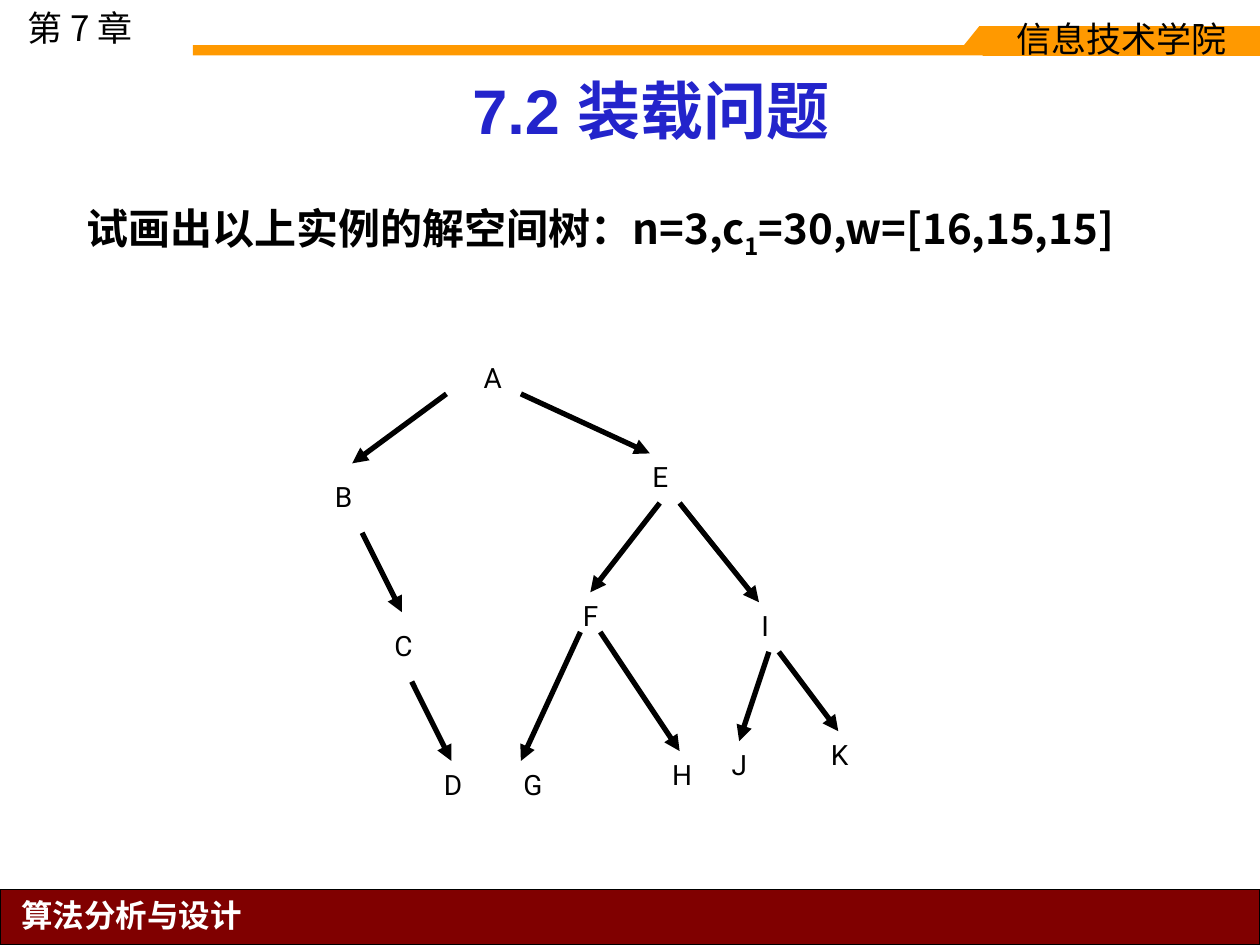
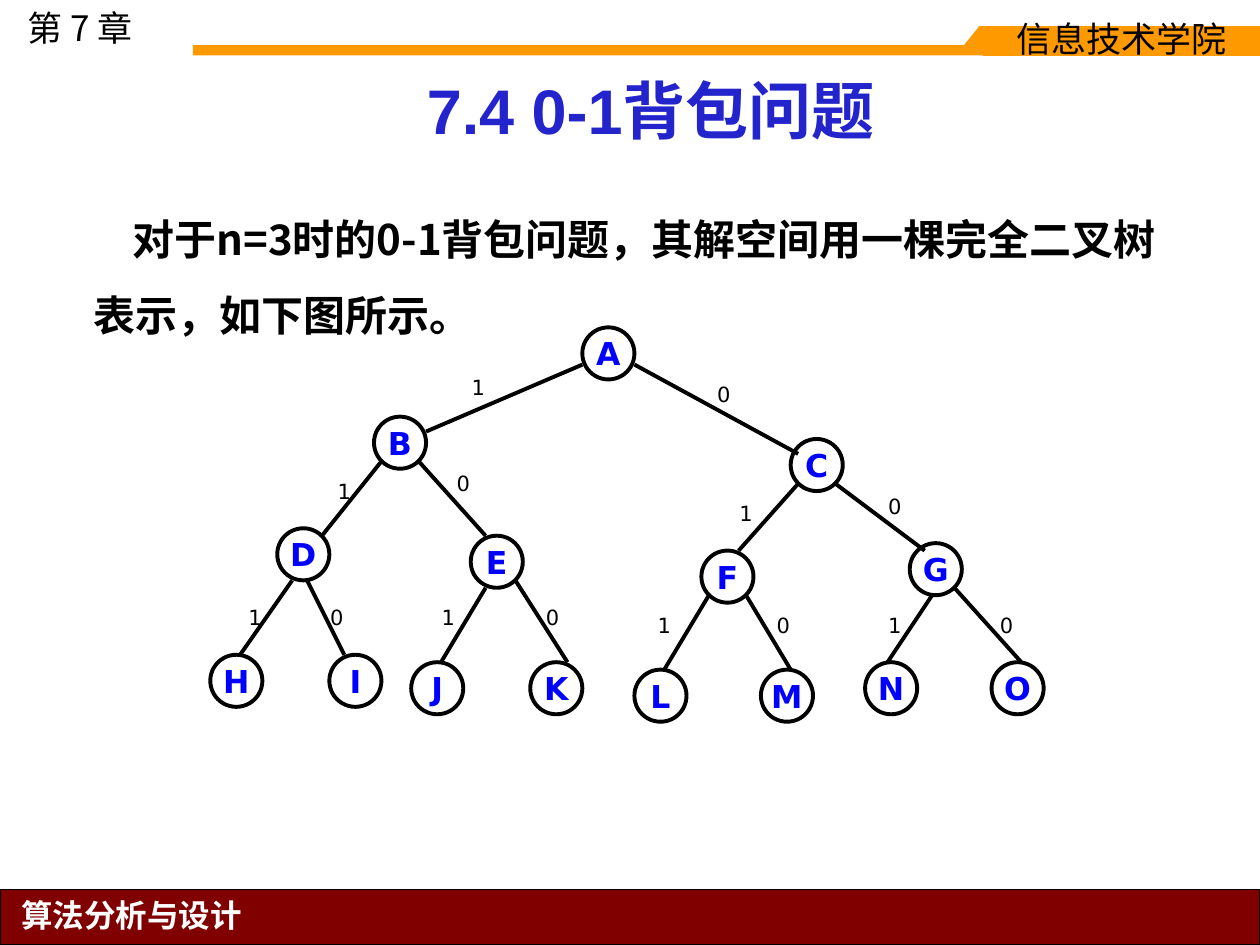
from dataclasses import dataclass

from lxml.etree import SubElement
from pptx import Presentation
from pptx.dml.color import RGBColor as Rgb
from pptx.enum.shapes import MSO_CONNECTOR as Link, MSO_SHAPE as Kind
from pptx.enum.text import MSO_ANCHOR as Anchor, PP_ALIGN as Align
from pptx.oxml.ns import qn
from pptx.util import Cm, Pt


@dataclass(frozen=True)
class Theme:
    black: str = "000000"
    white: str = "FFFFFF"
    orange: str = "FF9900"
    maroon: str = "800000"
    title: str = "2324CB"
    node: str = "0000FF"
    cjk: str = "Noto Sans CJK SC"
    head: str = "Arial"
    sans: str = "DejaVu Sans"
    leaf: str = "Roboto"
    big: int = 36
    body: int = 24
    top: int = 20
    foot: int = 18
    letter: int = 16
    bit: int = 12


T = Theme()
WIDE, HIGH = 25.4, 19.05

# Tree places count in steps of the tree's own unit.
STATE_NODES = {
    "A": (15, 0), "B": (0, 12), "C": (6, 27), "D": (11, 41),
    "E": (32, 10), "F": (25, 24), "G": (19, 41), "H": (34, 40),
    "I": (43, 25), "J": (40, 39), "K": (50, 38),
}
STATE_EDGES = [
    (15 - 2.5, 4, 3, 11), (20, 4, 33, 10), (4, 18, 8, 26), (9, 33, 13, 41),
    (34, 15, 27, 24), (26, 28, 20, 41), (28, 28, 36, 40),
    (36, 15, 44, 25), (45, 30, 42, 39), (46, 30, 52, 38),
]
FULL_NODES = {
    "A": (50, 0), "B": (22, 12), "C": (78, 15), "D": (9, 27),
    "E": (35, 28), "F": (66, 30), "G": (94, 29), "H": (0, 44),
    "I": (16, 44), "J": (27, 45), "K": (43, 45), "L": (57, 46),
    "M": (74, 46), "N": (88, 45), "O": (105, 45),
}
# Line ends, then the place of the bit; left (1) and right (0) take turns.
FULL_EDGES = [
    (50, 5, 29, 14, 32, 5), (57, 5, 79, 17, 65, 6),
    (23, 18, 15, 28, 14, 19), (28, 18, 37, 28, 30, 18),
    (79, 21, 71, 30, 68, 22), (84, 21, 96, 30, 88, 21),
    (11, 34, 4, 44, 2, 36), (13, 34, 18, 44, 13, 36),
    (37, 35, 31, 45, 28, 36), (41, 34, 48, 45, 42, 36),
    (67, 36, 61, 46, 57, 37), (72, 36, 78, 46, 73, 37),
    (97, 36, 91, 45, 88, 37), (100, 35, 109, 45, 103, 37),
]


def color(code):
    return Rgb.from_string(code)


def add_run(par, text, size, font, ink, bold=False, sub=False):
    run = par.add_run()
    run.text = text
    face = run.font
    face.size, face.name, face.bold = Pt(size), font, bold
    face.color.rgb = color(ink)
    props = run._r.get_or_add_rPr()
    SubElement(props, qn("a:ea")).set("typeface", T.cjk)
    if sub:
        props.set("baseline", "-25000")


def add_text(slide, box, runs, lead=None, align=Align.LEFT):
    """Place one paragraph; lead is its line pitch in points."""
    frame = slide.shapes.add_textbox(*map(Cm, box)).text_frame
    frame.word_wrap = True
    par = frame.paragraphs[0]
    par.alignment = align
    if lead:
        par.line_spacing = Pt(lead)
    for text, *style in runs:
        add_run(par, text, *style)
    return frame


def paint(shape, fill, line=None, width=0.75):
    shape.shadow.inherit = False
    shape.fill.solid()
    shape.fill.fore_color.rgb = color(fill)
    if line:
        shape.line.color.rgb = color(line)
        shape.line.width = Pt(width)
    else:
        shape.line.fill.background()
    return shape


def add_block(slide, kind, box, fill, line=None, width=0.75):
    return paint(slide.shapes.add_shape(kind, *map(Cm, box)), fill, line, width)


def set_mid(shape, *style, wrap=False):
    """Write one centred run in a shape."""
    frame = shape.text_frame
    frame.word_wrap = wrap
    frame.vertical_anchor = Anchor.MIDDLE
    par = frame.paragraphs[0]
    par.alignment = Align.CENTER
    add_run(par, *style)
    return par


def add_line(slide, ends, width, arrow=False):
    line = slide.shapes.add_connector(Link.STRAIGHT, *map(Cm, ends))
    line.line.color.rgb = color(T.black)
    line.line.width = Pt(width)
    if arrow:
        SubElement(line.line._get_or_add_ln(), qn("a:tailEnd")).set("type", "triangle")
    SubElement(line._element.spPr, qn("a:effectLst"))


def add_header(slide, left, top, width):
    """Chapter mark, orange band and school tab."""
    add_text(slide, (left + 0.3, top, 3.4, 1.09),
             [("第 7 章", T.top, T.cjk, T.black)], lead=24)
    tab, notch = left + 19.74, left + 19.41
    high, low = top + 0.53, top + 0.94
    right = left + width
    add_block(slide, Kind.RECTANGLE, (left + 3.89, top + 0.91, 19.6, 0.21), T.orange)
    add_block(slide, Kind.RECTANGLE, (tab, high, 3.76, 0.41), T.orange)
    path = slide.shapes.build_freeform(Cm(notch), Cm(low))
    path.add_line_segments([(Cm(tab), Cm(low)), (Cm(tab), Cm(high))], close=True)
    paint(path.convert_to_shape(), T.orange)
    school = add_block(slide, Kind.RECTANGLE, (right - 5.59, high, 5.59, 0.6), T.orange)
    par = set_mid(school, "信息技术学院", T.top, T.sans, T.black, wrap=True)
    par.line_spacing = 0.9


def add_footer(slide, left, top, width, height):
    add_block(slide, Kind.RECTANGLE, (left, top, width, height), T.maroon, T.black)
    add_text(slide, (left + 0.15, top + 0.03, 5, 1.02),
             [("算法分析与设计", T.foot, T.cjk, T.white, True)],
             lead=21, align=Align.CENTER)


def set_title(slide, text):
    title = slide.shapes.title
    title.left, title.top, title.width, title.height = map(Cm, (2.11, 1.32, 22.02, 1.8))
    frame = title.text_frame
    frame.word_wrap = True
    frame.vertical_anchor = Anchor.BOTTOM
    par = frame.paragraphs[0]
    par.alignment = Align.CENTER
    par.line_spacing = 0.9
    add_run(par, text, T.big, T.head, T.title, True)


def add_page(deck, title):
    slide = deck.slides.add_slide(deck.slide_layouts[5])
    add_header(slide, 0, 0, WIDE)
    add_footer(slide, 0, 17.93, WIDE, HIGH - 17.93)
    set_title(slide, title)
    return slide


def draw_state(slide, left, top, unit):
    """Tree of plain letters joined by arrows."""
    for x1, y1, x2, y2 in STATE_EDGES:
        ends = (left + x1 * unit, top + y1 * unit, left + x2 * unit, top + y2 * unit)
        add_line(slide, ends, 3, arrow=True)
    for name, (x, y) in STATE_NODES.items():
        add_text(slide, (left + x * unit, top + y * unit, 1.2, 1.02),
                 [(name, T.letter, T.leaf, T.black)])


def draw_full(slide, left, top, unit):
    """Full binary tree of ringed letters with a bit on each branch."""
    def place(x, y):
        return left + x * unit, top + y * unit

    for i, (*_, x, y) in enumerate(FULL_EDGES):
        tag = add_block(slide, Kind.RECTANGLE, (*place(x, y), 8 * unit, 6 * unit), T.white)
        set_mid(tag, str(1 - i % 2), T.bit, T.sans, T.black)
    for name, (x, y) in FULL_NODES.items():
        ring = add_block(slide, Kind.OVAL, (*place(x, y), 7 * unit, 7 * unit),
                         T.white, T.black, 2.25)
        set_mid(ring, name, T.foot, T.sans, T.node, True)
    for x1, y1, x2, y2, *_ in FULL_EDGES:
        add_line(slide, (*place(x1, y1), *place(x2, y2)), 2.25)


def make_loading(deck):
    slide = add_page(deck, "7.2 装载问题")
    style = (T.body, T.cjk, T.black, True)
    add_text(slide, (1.5, 3.99, 22.8, 1.5),
             [("试画出以上实例的解空间树：n=3,c", *style), ("1", *style, True),
              ("=30,w=[16,15,15]", *style)], lead=32)
    draw_state(slide, 6.5, 7.14, 0.2)


def make_knapsack(deck):
    slide = add_page(deck, "7.4 0-1背包问题")
    frame = add_text(slide, (1.7, 3.71, 22, 3.4),
                     [("对于n=3时的0-1背包问题，其解空间用一棵完全二叉树表示，如下图所示。",
                       T.body, T.cjk, T.black, True)], lead=43)
    frame.margin_left = frame.margin_right = Cm(0.18)
    frame.margin_top = frame.margin_bottom = Cm(0.1)
    frame.paragraphs[0]._p.get_or_add_pPr().set("indent", str(Cm(0.79)))
    draw_full(slide, 4.24, 6.6, 0.15)


def main():
    deck = Presentation()
    deck.slide_width, deck.slide_height = Cm(WIDE), Cm(HIGH)
    make_loading(deck)
    make_knapsack(deck)
    deck.save("out.pptx")


if __name__ == "__main__":
    main()
